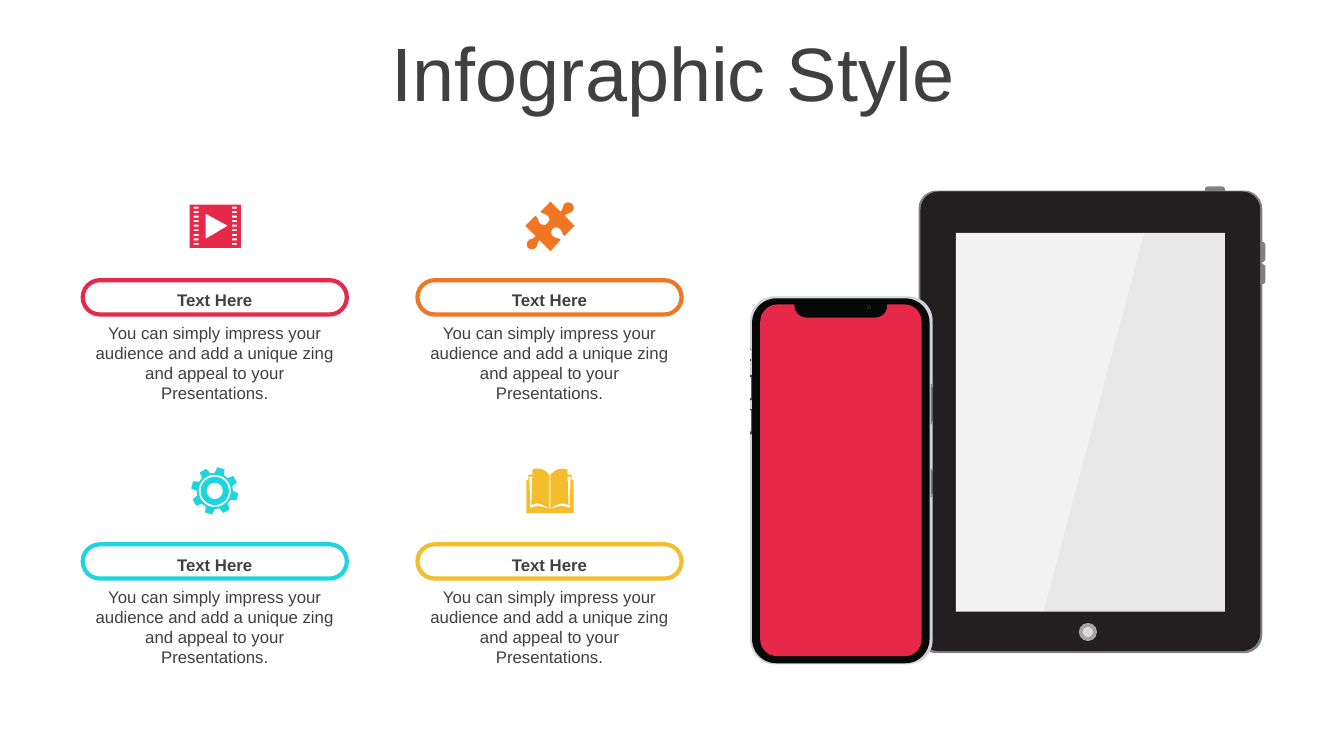
"""Build the infographic slide with four text cards, a tablet and a phone."""
from math import cos, radians, sin

from lxml.etree import SubElement
from pptx import Presentation
from pptx.dml.color import RGBColor
from pptx.enum.shapes import MSO_SHAPE
from pptx.enum.text import MSO_ANCHOR, PP_ALIGN
from pptx.oxml.ns import qn
from pptx.util import Inches, Pt

RED = RGBColor(0xE6, 0x29, 0x49)
ORANGE = RGBColor(0xF0, 0x76, 0x24)
CYAN = RGBColor(0x1E, 0xD4, 0xDE)
YELLOW = RGBColor(0xF4, 0xBD, 0x2D)
INK = RGBColor(0x40, 0x40, 0x40)
GREY = RGBColor(0x80, 0x80, 0x80)
TABLET_BLACK = RGBColor(0x23, 0x1F, 0x20)
TABLET_SCREEN = RGBColor(0xF2, 0xF2, 0xF2)
SHINE = RGBColor(0x99, 0x99, 0x99)
HOME_RING = RGBColor(0xA6, 0xA6, 0xA6)
HOME_CENTRE = RGBColor(0xD9, 0xD9, 0xD9)
PHONE_EDGE = RGBColor(0xD0, 0xD4, 0xD8)
PHONE_BLACK = RGBColor(0x07, 0x08, 0x08)
KEY_DARK = RGBColor(0x36, 0x45, 0x51)
KEY_LIGHT = RGBColor(0xFA, 0xFD, 0xFF)
KEY_GREY = RGBColor(0x8A, 0x90, 0x96)
KEY_SHADE = RGBColor(0x4A, 0x4C, 0x4D)
LENS_RING = RGBColor(0x26, 0x26, 0x26)
LENS = RGBColor(0x08, 0x14, 0x22)

TITLE = "Infographic Style"
LABEL = "Text Here"
BODY = ("You can simply impress your audience and add a unique zing "
        "and appeal to your Presentations.")
CARD_COLOURS = [[RED, ORANGE], [CYAN, YELLOW]]
CARD_LEFT, CARD_TOP, CARD_WIDTH = 0.82, 2.78, 2.62
COLUMN_STEP, ROW_STEP = 3.32, 2.62

# left, top, width, height, corner radius, colour
TABLET_PARTS = [
    (11.95, 1.85, 0.2, 0.07, 0.03, GREY),
    (12.48, 2.62, 0.07, 0.2, 0.03, GREY),
    (12.48, 2.4, 0.07, 0.2, 0.03, GREY),
    (9.11, 1.89, 3.41, 4.59, 0.18, GREY),
    (9.13, 1.9, 3.37, 4.56, 0.18, TABLET_BLACK),
    (9.48, 2.31, 2.67, 3.76, 0, TABLET_SCREEN),
]
PHONE_PARTS = [
    (7.44, 2.94, 1.81, 3.65, 0.24, PHONE_EDGE),
    (7.46, 2.96, 1.76, 3.62, 0.24, PHONE_BLACK),
]
PHONE_KEYS = [
    (7.44, 3.46, 0.01, 0.12, 0, KEY_DARK),
    (7.44, 3.72, 0.02, 0.25, 0, KEY_DARK),
    (7.44, 3.74, 0.01, 0.21, 0, KEY_LIGHT),
    (7.44, 4.06, 0.02, 0.25, 0, KEY_DARK),
    (7.44, 4.07, 0.01, 0.21, 0, KEY_LIGHT),
    (9.23, 3.81, 0.02, 0.4, 0, KEY_GREY),
    (9.24, 3.84, 0.01, 0.34, 0, KEY_SHADE),
    (9.23, 4.65, 0.02, 0.28, 0, KEY_GREY),
    (9.24, 4.67, 0.01, 0.23, 0, KEY_SHADE),
    (7.44, 3.47, 0.01, 0.09, 0, KEY_LIGHT),
]
# centre x, centre y, diameter, colour
HOME_BUTTON = [(10.79, 6.27, 0.18, HOME_RING), (10.79, 6.27, 0.1, HOME_CENTRE)]
CAMERA = [(8.62, 3.05, 0.07, PHONE_BLACK), (8.62, 3.05, 0.04, LENS_RING),
          (8.62, 3.05, 0.02, LENS)]

# Outline steps: two numbers are a corner, six are a curve
SHINE_OUTLINE = [(11.35, 2.31), (12.15, 2.31), (12.15, 6.07), (10.35, 6.07)]
PHONE_SCREEN = [
    (8.97, 3.02), (8.81, 3.02), (8.8, 3.02, 8.8, 3.02, 8.8, 3.03),
    (8.8, 3.1, 8.75, 3.15, 8.68, 3.15), (8, 3.15),
    (7.93, 3.15, 7.88, 3.1, 7.88, 3.03), (7.88, 3.02, 7.87, 3.02, 7.87, 3.02),
    (7.71, 3.02), (7.62, 3.02, 7.54, 3.1, 7.54, 3.19), (7.54, 6.34),
    (7.54, 6.44, 7.62, 6.51, 7.71, 6.51), (8.97, 6.51),
    (9.07, 6.51, 9.14, 6.44, 9.14, 6.34), (9.14, 3.19),
    (9.14, 3.1, 9.07, 3.02, 8.97, 3.02),
]
PUZZLE = [
    (5.67, 2.02), (5.69, 2.04, 5.7, 2.07, 5.68, 2.09),
    (5.66, 2.12, 5.63, 2.11, 5.6, 2.14), (5.7, 2.24), (5.6, 2.34),
    (5.57, 2.32, 5.58, 2.29, 5.55, 2.27), (5.53, 2.25, 5.5, 2.25, 5.48, 2.27),
    (5.47, 2.28, 5.46, 2.32, 5.48, 2.34), (5.52, 2.37, 5.53, 2.35, 5.56, 2.38),
    (5.46, 2.49), (5.35, 2.38), (5.32, 2.42, 5.34, 2.43, 5.31, 2.46),
    (5.29, 2.48, 5.25, 2.47, 5.24, 2.46), (5.22, 2.44, 5.22, 2.41, 5.24, 2.39),
    (5.26, 2.36, 5.29, 2.38, 5.31, 2.34), (5.21, 2.24), (5.31, 2.14),
    (5.35, 2.17, 5.33, 2.2, 5.36, 2.22), (5.39, 2.24, 5.42, 2.23, 5.43, 2.21),
    (5.45, 2.2, 5.46, 2.16, 5.43, 2.14), (5.4, 2.11, 5.39, 2.13, 5.36, 2.1),
    (5.46, 2), (5.56, 2.1), (5.59, 2.07, 5.57, 2.06, 5.6, 2.02),
    (5.62, 2, 5.66, 2.01, 5.67, 2.02),
]
BOOK_SPINE = 5.455
BOOK_HALF = [
    (BOOK_SPINE, 5.09), (BOOK_SPINE, 5.05), (5.46, 5.05), (5.46, 4.71),
    (5.5, 4.67, 5.53, 4.65, 5.57, 4.65), (5.59, 4.65, 5.61, 4.65, 5.63, 4.66),
    (5.63, 4.71), (5.67, 4.71), (5.67, 4.76), (5.69, 4.76), (5.69, 5.09),
]
BOOK_PAGE_GAP = [
    (5.46, 5.05), (5.54, 5.02, 5.58, 5.01, 5.65, 5.04), (5.66, 4.73),
    (5.63, 4.73), (5.64, 5.01), (5.58, 4.98, 5.52, 5, 5.46, 5.05),
]
PLAY = [(2.04, 2.12), (2.04, 2.37), (2.26, 2.24)]


def flatten(outline, steps=8):
    points = []
    for step in outline:
        if len(step) == 2:
            points.append(step)
            continue
        controls = [points[-1], step[:2], step[2:4], step[4:]]
        for index in range(1, steps + 1):
            t = index / steps
            weights = ((1 - t) ** 3, 3 * t * (1 - t) ** 2, 3 * t * t * (1 - t), t ** 3)
            points.append(tuple(sum(weight * control[axis] for weight, control
                                    in zip(weights, controls)) for axis in (0, 1)))
    return points


def mirror(points, axis):
    return [(2 * axis - x, y) for x, y in points]


def rectangle(left, top, width, height):
    right, bottom = left + width, top + height
    return [(left, top), (right, top), (right, bottom), (left, bottom)]


def polar(centre, radius, angle):
    return (centre[0] + radius * sin(radians(angle)),
            centre[1] - radius * cos(radians(angle)))


def gear(centre, teeth=8):
    pitch = 360 / teeth
    profile = [(0.18, -15), (0.235, -9), (0.235, 9), (0.18, 15)]
    rim = [polar(centre, radius, 15 + tooth * pitch + offset)
           for tooth in range(teeth) for radius, offset in profile]
    rings = [[polar(centre, radius, angle) for angle in range(0, 360, 10)]
             for radius in (0.16, 0.14, 0.08)]
    return [rim] + rings


def paint(shape, colour):
    shape.shadow.inherit = False
    shape.fill.solid()
    shape.fill.fore_color.rgb = colour
    shape.line.fill.background()
    return shape


def draw(page, contours, colour):
    scaled = [[(Inches(x), Inches(y)) for x, y in contour] for contour in contours]
    builder = page.shapes.build_freeform(*scaled[0][0])
    for index, contour in enumerate(scaled):
        if index:
            builder.move_to(*contour[0])
        builder.add_line_segments(contour[1:], close=True)
    return paint(builder.convert_to_shape(), colour)


def add_panels(page, panels):
    for left, top, width, height, radius, colour in panels:
        kind = MSO_SHAPE.ROUNDED_RECTANGLE if radius else MSO_SHAPE.RECTANGLE
        panel = page.shapes.add_shape(kind, *map(Inches, (left, top, width, height)))
        if radius:
            panel.adjustments[0] = radius / min(width, height)
        paint(panel, colour)


def add_dots(page, dots):
    for x, y, size, colour in dots:
        place = map(Inches, (x - size / 2, y - size / 2, size, size))
        paint(page.shapes.add_shape(MSO_SHAPE.OVAL, *place), colour)


def write(box, text, size=12, bold=False, anchor=MSO_ANCHOR.TOP, spacing=1.0):
    box.text_frame.word_wrap = True
    box.text_frame.vertical_anchor = anchor
    para = box.text_frame.paragraphs[0]
    para.alignment, para.line_spacing = PP_ALIGN.CENTER, spacing
    span = para.add_run()
    span.text = text
    span.font.name, span.font.size, span.font.bold = "Arial", Pt(size), bold
    span.font.color.rgb = INK


def add_card(page, left, top, colour):
    body = page.shapes.add_textbox(*map(Inches, (left, top + 0.37, CARD_WIDTH, 0.91)))
    write(body, BODY)
    pill = page.shapes.add_shape(MSO_SHAPE.ROUNDED_RECTANGLE,
                                 *map(Inches, (left, top, CARD_WIDTH, 0.34)))
    pill.adjustments[0] = 0.5
    pill.shadow.inherit = False
    pill.fill.background()
    pill.line.color.rgb, pill.line.width = colour, Pt(3)
    write(pill, LABEL, bold=True)


def main():
    deck = Presentation()
    deck.slide_width, deck.slide_height = Inches(13.33), Inches(7.5)
    page = deck.slides.add_slide(deck.slide_layouts[6])
    add_panels(page, TABLET_PARTS)
    shine = draw(page, [SHINE_OUTLINE], SHINE)
    tint = shine.fill._xPr.find(qn("a:solidFill"))[0]
    SubElement(tint, qn("a:alpha"), val="10000")
    add_dots(page, HOME_BUTTON)
    add_panels(page, PHONE_PARTS)
    draw(page, [flatten(PHONE_SCREEN)], RED)
    add_panels(page, PHONE_KEYS)
    add_dots(page, CAMERA)
    title = page.shapes.add_textbox(*map(Inches, (0.35, 0.37, 12.66, 0.79)))
    write(title, TITLE, size=54, anchor=MSO_ANCHOR.MIDDLE, spacing=0.9)
    for row, colours in enumerate(CARD_COLOURS):
        for column, colour in enumerate(colours):
            add_card(page, CARD_LEFT + column * COLUMN_STEP,
                     CARD_TOP + row * ROW_STEP, colour)
    slots = [rectangle(left, 2.05 + 0.36 * row / 8, 0.05, 0.02)
             for row in range(9) for left in (1.92, 2.3)]
    draw(page, [rectangle(1.88, 2.03, 0.51, 0.43), PLAY] + slots, RED)
    draw(page, gear((2.13, 4.87)), CYAN)
    draw(page, [flatten(PUZZLE)], ORANGE)
    halves = [flatten(BOOK_HALF), flatten(BOOK_PAGE_GAP)]
    draw(page, halves + [mirror(half, BOOK_SPINE) for half in halves], YELLOW)
    deck.save("out.pptx")


if __name__ == "__main__":
    main()
